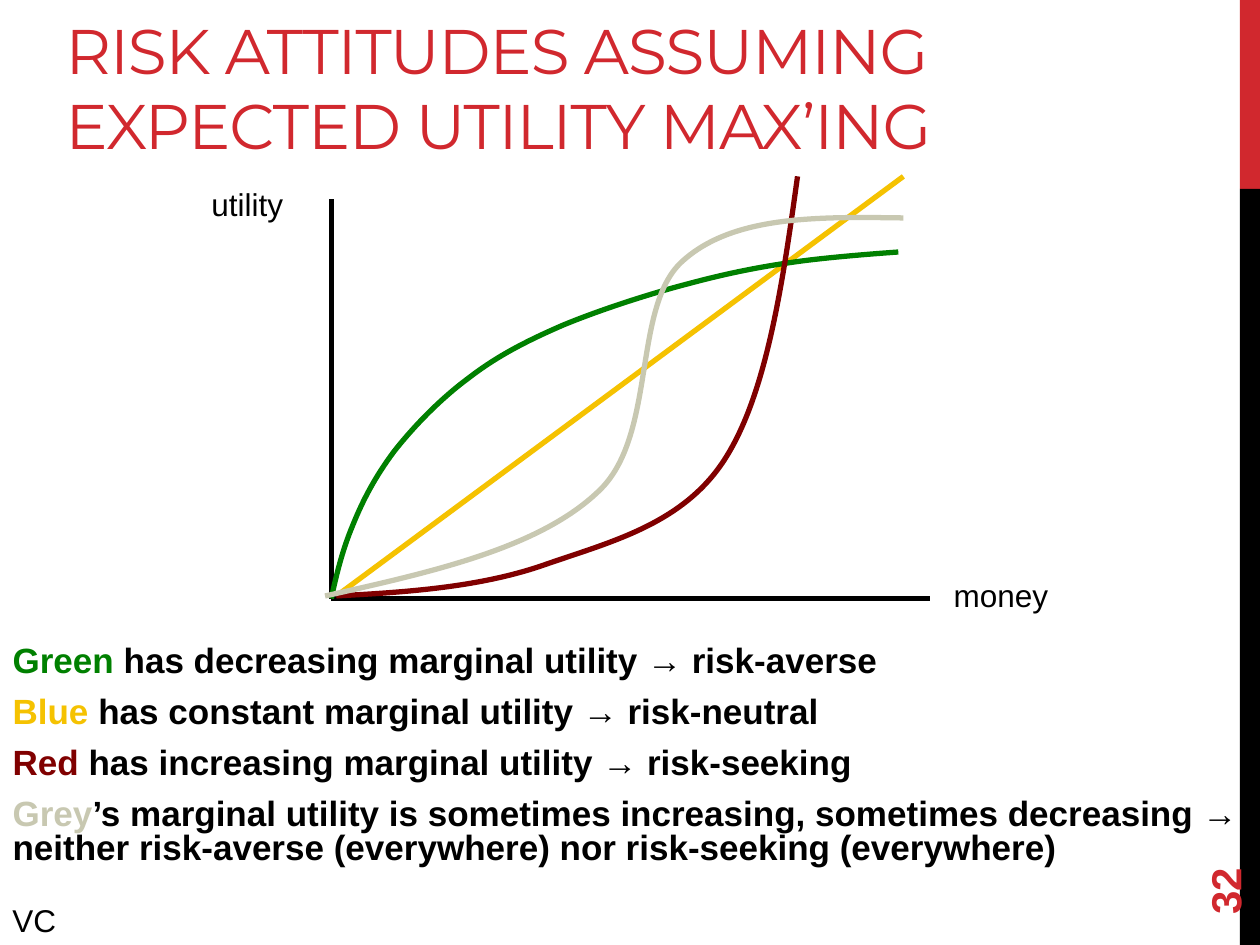
"""Build the slide on risk attitudes and the shapes of utility curves."""
from lxml import etree
from pptx import Presentation
from pptx.dml.color import RGBColor
from pptx.enum import shapes, text
from pptx.oxml import ns
from pptx.util import Inches, Pt

RED = RGBColor(0xD1, 0x28, 0x2E)
BLACK = RGBColor(0, 0, 0)
GREEN = RGBColor(0, 0x80, 0)
YELLOW = RGBColor(0xF5, 0xC2, 0x01)
MAROON = RGBColor(0x80, 0, 0)
GREY = RGBColor(0xC8, 0xC8, 0xB1)


def add_line(page, start, end, color):
    line = page.shapes.add_connector(
        shapes.MSO_CONNECTOR.STRAIGHT, *(Inches(v) for v in start + end))
    line.line.color.rgb = color
    line.line.width = Pt(3)
    etree.SubElement(line._element.spPr, ns.qn("a:effectLst"))


def add_label(page, words, place, size=18, color=BLACK, bold=False, wrap=False):
    box = page.shapes.add_textbox(*(Inches(v) for v in place))
    box.text_frame.word_wrap = wrap
    para = box.text_frame.paragraphs[0]
    para.text = words
    para.font.name = "Arial"
    para.font.size = Pt(size)
    para.font.bold = bold
    para.font.color.rgb = color
    return box


deck = Presentation()
deck.slide_width, deck.slide_height = Inches(10), Inches(7.5)
page = deck.slides.add_slide(deck.slide_layouts[1])

for top, height, color in [(0, 1.5, RED), (1.5, 6, BLACK)]:
    band = page.shapes.add_shape(
        shapes.MSO_SHAPE.RECTANGLE, Inches(9.84), Inches(top), Inches(0.16), Inches(height))
    band.shadow.inherit = False
    band.fill.solid()
    band.fill.fore_color.rgb = color
    band.line.fill.background()

title = page.shapes.title
title.left, title.top, title.width, title.height = (
    Inches(v) for v in (0.42, 0.26, 9, 1.08))
title.text_frame.auto_size = text.MSO_AUTO_SIZE.NONE
title.text_frame.vertical_anchor = text.MSO_ANCHOR.BOTTOM
para = title.text_frame.paragraphs[0]
para.alignment = text.PP_ALIGN.LEFT
span = para.add_run()
span.text = "RISK ATTITUDES ASSUMING EXPECTED UTILITY MAX’ING"
span._r.get_or_add_rPr().set("spc", "-60")
para.font.name = "Montserrat"
para.font.size = Pt(36)
para.font.color.rgb = RED

add_line(page, (2.63, 1.58), (2.63, 4.75), BLACK)
add_line(page, (2.63, 4.75), (7.38, 4.75), BLACK)
add_label(page, "utility", (1.58, 1.42, 0.77, 0.4))
add_label(page, "money", (7.47, 4.52, 0.95, 0.4))
add_line(page, (2.67, 4.73), (7.17, 1.4), YELLOW)

risk_averse = [
    (2.63, 4.75), (2.67, 4.56), (2.72, 4.36), (2.8, 4.17), (2.88, 3.97), (2.98, 3.78),
    (3.13, 3.58), (3.28, 3.39), (3.49, 3.17), (3.72, 3), (3.94, 2.83), (4.17, 2.71),
    (4.47, 2.58), (4.76, 2.46), (5.16, 2.33), (5.47, 2.25), (5.77, 2.17), (6.02, 2.12),
    (6.3, 2.08), (6.58, 2.04), (6.99, 2.01), (7.13, 2)]
risk_seeking = [
    (2.67, 4.73), (3.24, 4.7), (3.82, 4.66), (4.33, 4.48), (4.85, 4.3), (5.42, 4.16),
    (5.75, 3.65), (6.08, 3.14), (6.21, 2.27), (6.33, 1.4)]
mixed = [
    (2.58, 4.73), (3.43, 4.54), (4.28, 4.35), (4.75, 3.9), (5.22, 3.46), (5.01, 2.43),
    (5.42, 2.07), (5.82, 1.71), (6.49, 1.72), (7.17, 1.73)]

for controls, color in [(risk_averse, GREEN), (risk_seeking, MAROON), (mixed, GREY)]:
    points = [(Inches(x), Inches(y)) for x, y in controls]
    builder = page.shapes.build_freeform(*points[0])
    builder.add_line_segments(points[1:], close=False)
    curve = builder.convert_to_shape()
    segments = list(curve._element.iter(ns.qn("a:lnTo")))
    for first in range(0, len(segments), 3):
        bezier = etree.Element(ns.qn("a:cubicBezTo"))
        segments[first].addprevious(bezier)
        for segment in segments[first:first + 3]:
            bezier.append(segment[0])
            segment.getparent().remove(segment)
    curve.shadow.inherit = False
    curve.fill.background()
    curve.line.color.rgb = color
    curve.line.width = Pt(3)

body = page.placeholders[1]
body.left, body.top, body.width, body.height = (Inches(v) for v in (0, 5.08, 10, 2.42))
body.text_frame.auto_size = text.MSO_AUTO_SIZE.NONE
attitudes = [
    ("Green", GREEN, " has decreasing marginal utility → risk-averse"),
    ("Blue", YELLOW, " has constant marginal utility → risk-neutral"),
    ("Red", MAROON, " has increasing marginal utility → risk-seeking"),
    ("Grey", GREY, "’s marginal utility is sometimes increasing, sometimes decreasing → "
     "neither risk-averse (everywhere) nor risk-seeking (everywhere)"),
]
for index, (name, color, claim) in enumerate(attitudes):
    para = body.text_frame.add_paragraph() if index else body.text_frame.paragraphs[0]
    properties = para._p.get_or_add_pPr()
    properties.set("marL", "0")
    properties.set("indent", "0")
    etree.SubElement(properties, ns.qn("a:buNone"))
    para.line_spacing = 0.8
    para.space_before = Pt(4 if index else 0)
    para.space_after = Pt(6)
    for words, shade in [(name, color), (claim, BLACK)]:
        span = para.add_run()
        span.text = words
        span.font.color.rgb = shade
    para.font.name = "Arial"
    para.font.size = Pt(20)
    para.font.bold = True

number = add_label(page, "32", (9, 6.44, 1.44, 0.4), 24, RED, bold=True, wrap=True)
number.rotation = 270
number.text_frame.vertical_anchor = text.MSO_ANCHOR.MIDDLE
add_label(page, "VC", (0, 7.1, 0.56, 0.4), wrap=True)

deck.save("out.pptx")
